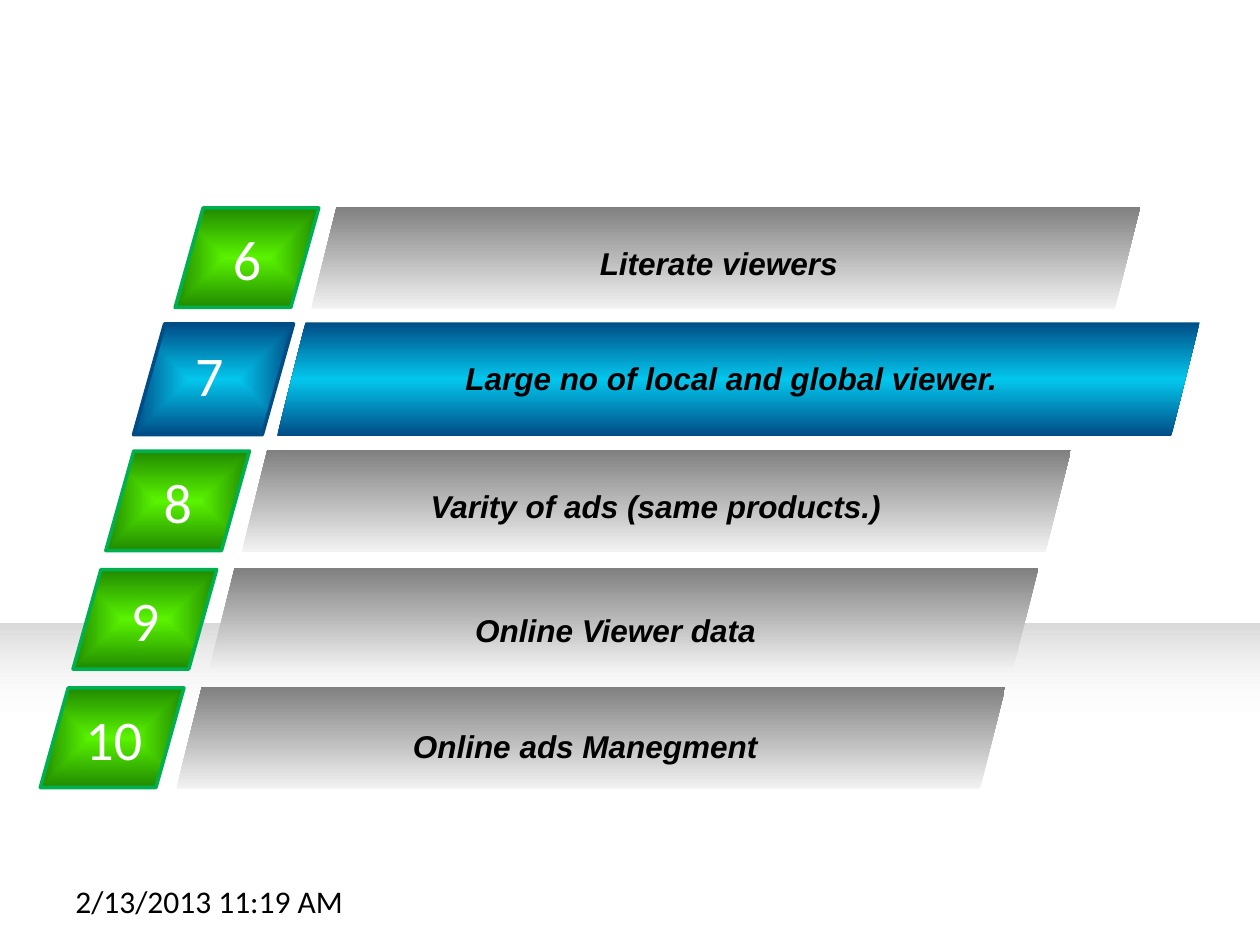
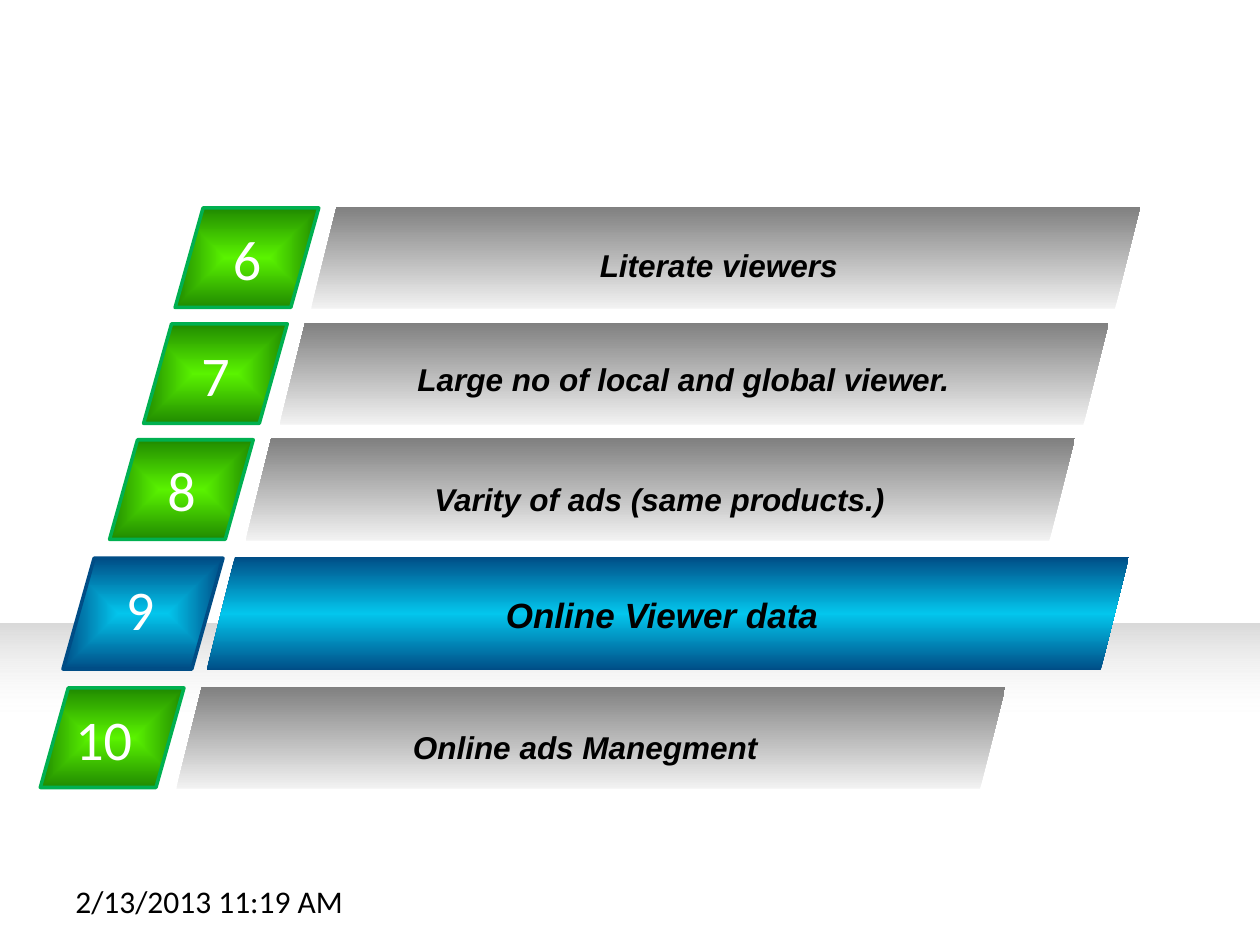
"""Build two slides of numbered slanted bars, each with one highlighted row."""
import dataclasses

import pptx
import pptx.dml.color
import pptx.enum.shapes
import pptx.enum.text
import pptx.oxml
import pptx.oxml.ns
import pptx.util

Inches = pptx.util.Inches
SHAPES = pptx.enum.shapes.MSO_SHAPE
ALIGN = pptx.enum.text.PP_ALIGN

LITERATE = "Literate viewers"
AUDIENCE = "Large no of local and global viewer."
VARIETY = "Varity of ads (same products.)"
VIEWER_DATA = "Online Viewer data"
MANAGEMENT = "Online ads Manegment"
DATE = "2/13/2013 11:19 AM"


@dataclasses.dataclass
class Row:
    number: str
    label: str
    bar: tuple
    label_at: tuple
    style: str = "plain"
    label_size: int = 18
    label_height: float = 0.4
    number_shift: float = 0.36
    number_width: float = 0.43


SLIDES = [
    [
        Row("6", LITERATE, (2.47, 1.64), (2.75, 1.89), label_height=0.71),
        Row("7", AUDIENCE, (2.2, 2.56), (2.52, 2.8), "highlight",
            number_shift=0.39, number_width=0.48),
        Row("8", VARIETY, (1.92, 3.57), (2.25, 3.82)),
        Row("9", VIEWER_DATA, (1.66, 4.51), (1.93, 4.8)),
        Row("10", MANAGEMENT, (1.4, 5.45), (1.69, 5.72),
            number_shift=0.26, number_width=0.79),
    ],
    [
        Row("6", LITERATE, (2.47, 1.64), (2.75, 1.9), label_height=0.71),
        Row("7", AUDIENCE, (2.22, 2.56), (2.47, 2.81)),
        Row("8", VARIETY, (1.95, 3.48), (2.28, 3.76)),
        Row("9", VIEWER_DATA, (1.64, 4.42), (1.97, 4.66), "highlight",
            label_size=20, label_height=0.44,
            number_shift=0.4, number_width=0.48),
        Row("10", MANAGEMENT, (1.4, 5.45), (1.69, 5.73),
            number_shift=0.18, number_width=0.88),
    ],
]

THEME = {
    "label_font": "Arial",
    "number_font": "Calibri",
    "number_size": 32,
    "date_size": 18,
    "dark_text": "000000",
    "light_text": "FFFFFF",
    "band": [(0, "FFFFFF", 0), (61, "FFFFFF", 0), (100, "D9D9D9", 100)],
    "plain": {
        "bar": [(0, "F2F2F2", 100), (100, "808080", 100)],
        "tile": [(0, "5AF300", 100), (100, "208A00", 100)],
        "line": "00B050",
        "bar_size": (6.58, 0.81),
        "tile_size": (1.14, 0.79),
        "tile_shift": -1.08,
        "label_width": 5.91,
    },
    "highlight": {
        "bar": [(0, "004D86", 100), (50, "03C6ED", 100), (100, "004D86", 100)],
        "tile": [(0, "03C6ED", 100), (100, "004D86", 100)],
        "line": "004D86",
        "bar_size": (7.32, 0.9),
        "tile_size": (1.27, 0.88),
        "tile_shift": -1.14,
        "label_width": 6.57,
    },
}

UPWARD = '<a:lin ang="16200000" scaled="0"/>'
FROM_CENTRE = ('<a:path path="shape"><a:fillToRect l="50000" t="50000" '
               'r="50000" b="50000"/></a:path>')


def fill_gradient(shape, stops, direction):
    stop_xml = "".join(
        f'<a:gs pos="{position * 1000}"><a:srgbClr val="{color}">'
        f'<a:alpha val="{opacity * 1000}"/></a:srgbClr></a:gs>'
        for position, color, opacity in stops)
    gradient = pptx.oxml.parse_xml(
        f'<a:gradFill {pptx.oxml.ns.nsdecls("a")} rotWithShape="1">'
        f'<a:gsLst>{stop_xml}</a:gsLst>{direction}</a:gradFill>')
    shape.fill.background()
    properties = shape.element.spPr
    properties.replace(properties.find(pptx.oxml.ns.qn("a:noFill")), gradient)


def add_gradient_shape(shapes, kind, position, size, stops, direction,
                       line=None, slant=None):
    shape = shapes.add_shape(kind, *map(Inches, position + size))
    shape.shadow.inherit = False
    fill_gradient(shape, stops, direction)
    if slant:
        shape.adjustments[0] = slant
    if line:
        shape.line.color.rgb = pptx.dml.color.RGBColor.from_string(line)
        shape.line.width = pptx.util.Pt(2)
    else:
        shape.line.fill.background()
    return shape


def add_text(shapes, text, position, size, *, font, points, color,
             bold=False, italic=False, align=ALIGN.LEFT):
    box = shapes.add_textbox(*map(Inches, position + size))
    box.text_frame.word_wrap = True
    paragraph = box.text_frame.paragraphs[0]
    paragraph.alignment = align
    run = paragraph.add_run()
    run.text = text
    run.font.name = font
    run.font.size = pptx.util.Pt(points)
    run.font.bold = bold
    run.font.italic = italic
    run.font.color.rgb = pptx.dml.color.RGBColor.from_string(color)


def add_row(slide, row):
    style = THEME[row.style]
    left, top = row.bar
    tile_left, tile_top = left + style["tile_shift"], top + 0.01
    tile_group = slide.shapes.add_group_shape()
    add_gradient_shape(tile_group.shapes, SHAPES.PARALLELOGRAM,
                       (tile_left, tile_top), style["tile_size"],
                       style["tile"], FROM_CENTRE, style["line"], 0.281)
    add_text(tile_group.shapes, row.number,
             (tile_left + row.number_shift, tile_top + 0.08),
             (row.number_width, 0.64), font=THEME["number_font"],
             points=THEME["number_size"], color=THEME["light_text"])
    add_gradient_shape(slide.shapes, SHAPES.PARALLELOGRAM, row.bar,
                       style["bar_size"], style["bar"], UPWARD)
    add_text(slide.shapes, row.label, row.label_at,
             (style["label_width"], row.label_height),
             font=THEME["label_font"], points=row.label_size,
             color=THEME["dark_text"], bold=True, italic=True,
             align=ALIGN.CENTER)


def add_master_band(presentation, slide):
    band = add_gradient_shape(slide.shapes, SHAPES.RECTANGLE, (0, 4.95),
                              (10, 2.02), THEME["band"], UPWARD)
    presentation.slide_master.shapes.element.insert(2, band.element)


def main():
    presentation = pptx.Presentation()
    presentation.slide_width = Inches(10)
    presentation.slide_height = Inches(7.5)
    blank_layout = presentation.slide_layouts[6]
    for index, rows in enumerate(SLIDES):
        slide = presentation.slides.add_slide(blank_layout)
        if index == 0:
            add_master_band(presentation, slide)
        for row in rows:
            add_row(slide, row)
        add_text(slide.shapes, DATE, (0.5, 6.95), (2.33, 0.4),
                 font=THEME["number_font"], points=THEME["date_size"],
                 color=THEME["dark_text"])
    presentation.save("out.pptx")


main()
